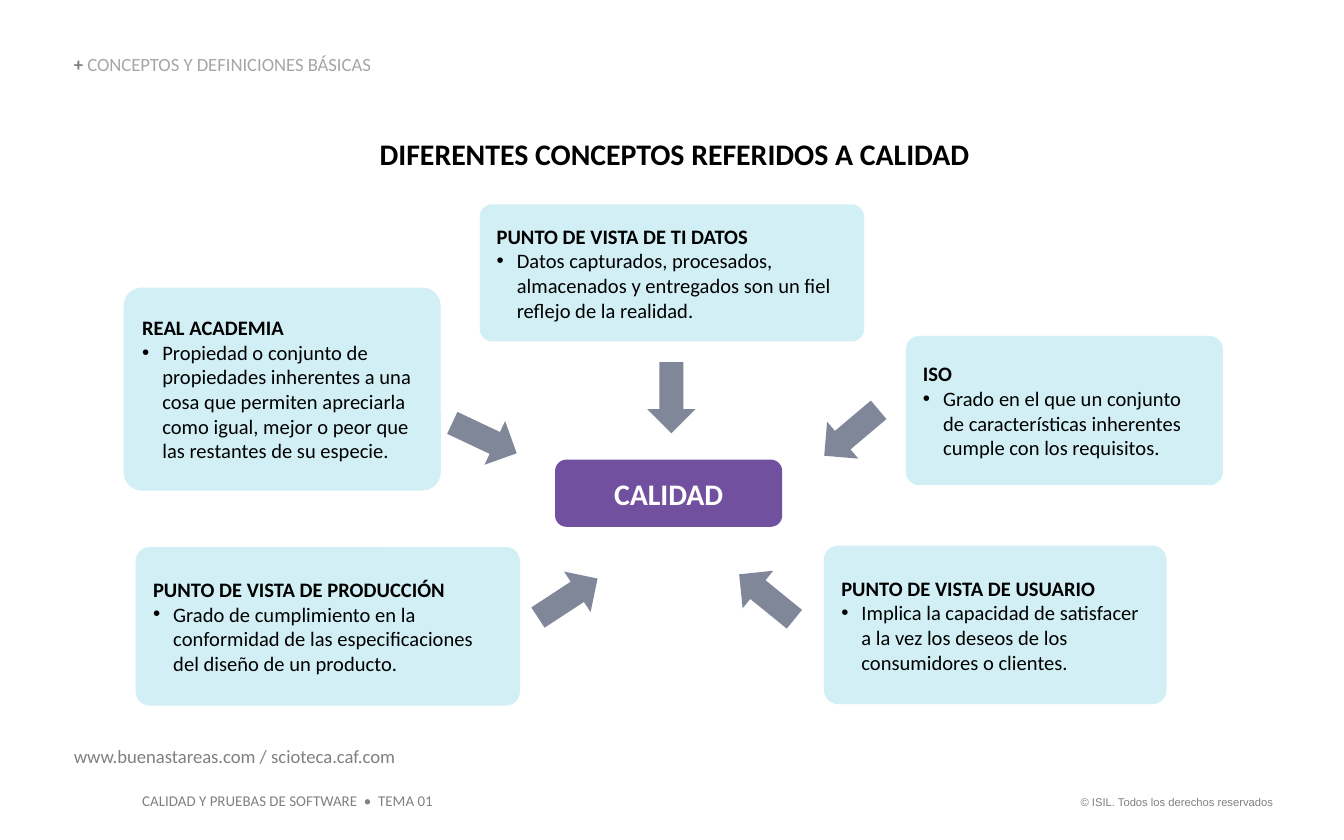
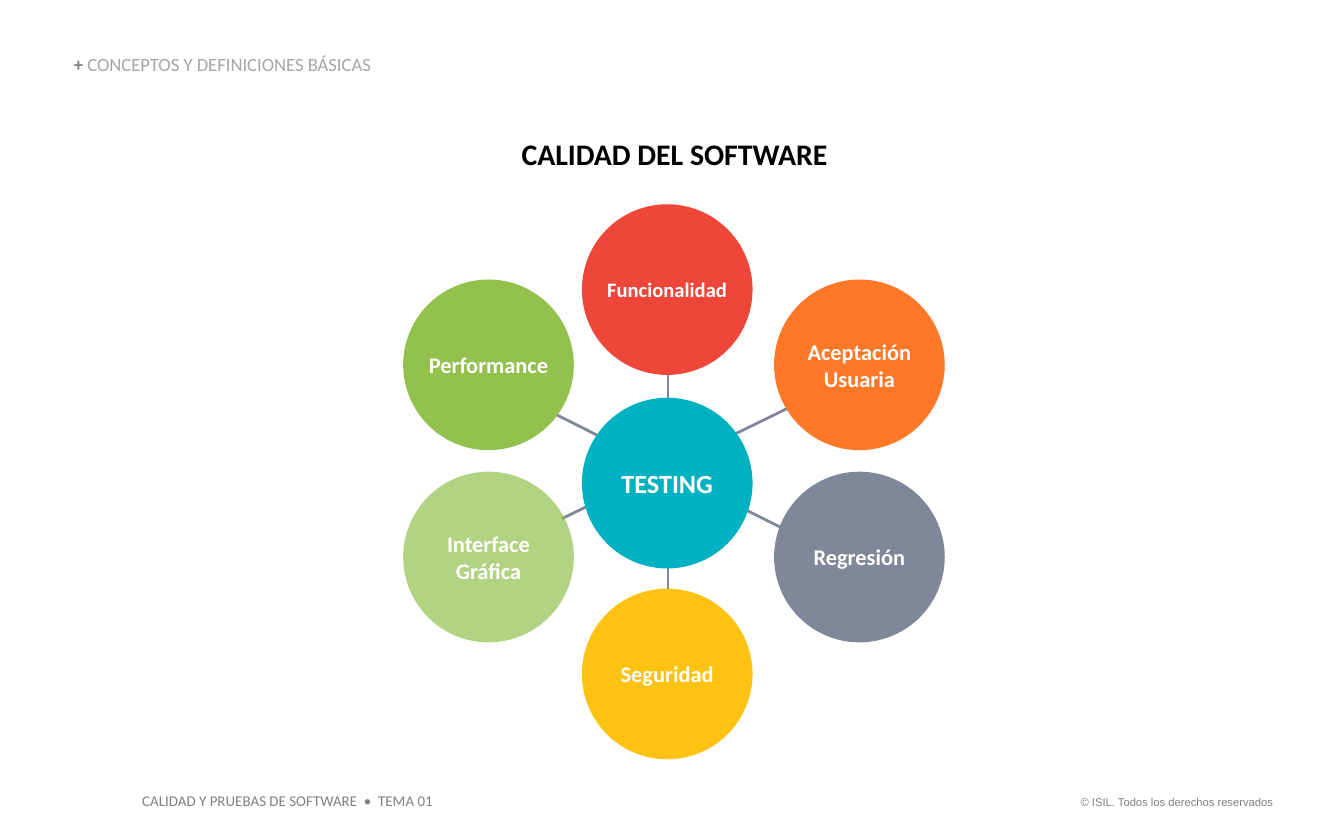
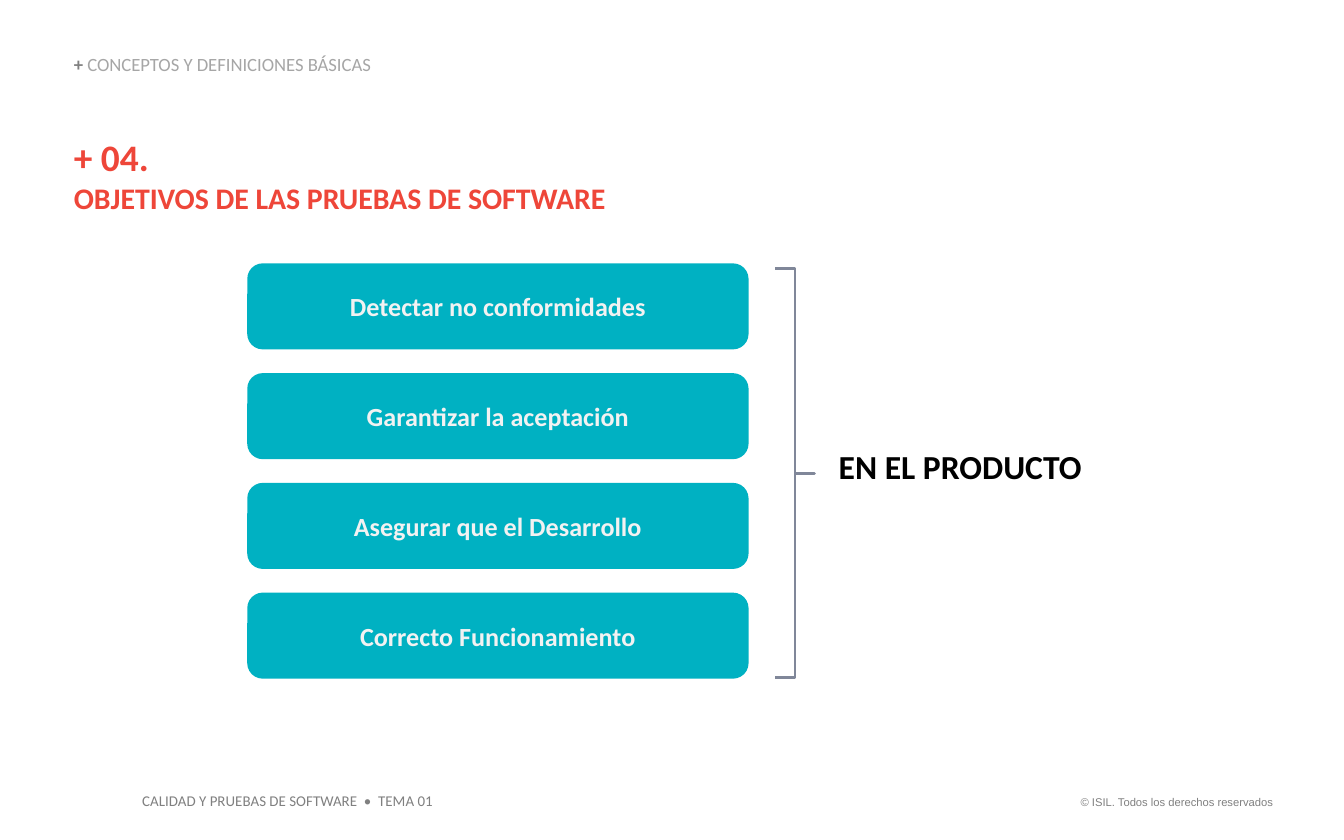
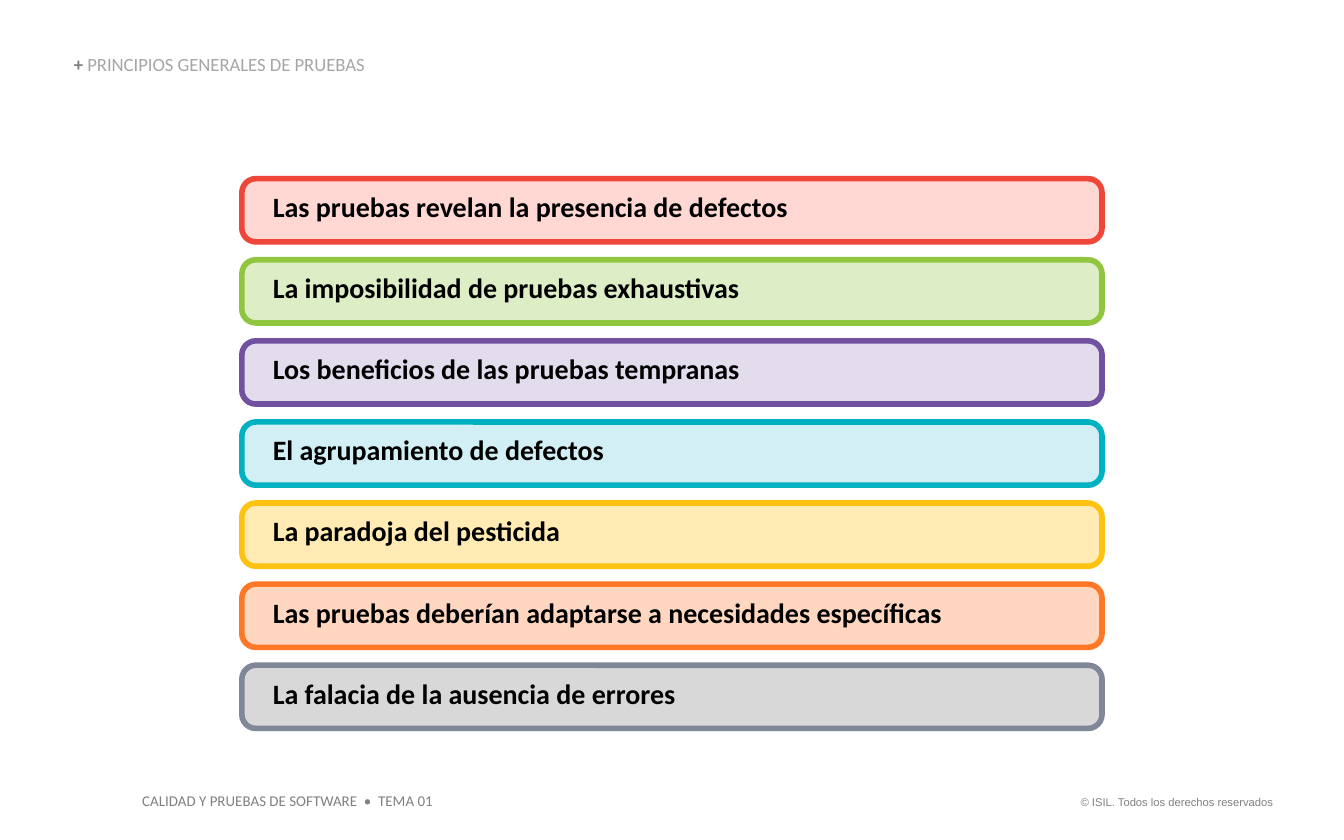
from dataclasses import dataclass

from lxml import etree
from pptx import Presentation
from pptx.dml.color import RGBColor
from pptx.enum.shapes import MSO_CONNECTOR, MSO_SHAPE
from pptx.enum.text import MSO_ANCHOR as Anchor
from pptx.enum.text import MSO_AUTO_SIZE as AutoSize
from pptx.enum.text import PP_ALIGN as Align
from pptx.oxml.ns import qn
from pptx.util import Inches, Pt

COLORS = {
    "black": "000000", "white": "FFFFFF", "off_white": "F2F2F2",
    "gray": "808080", "light_gray": "A6A6A6", "slate": "808799",
    "red": "EE4639", "green": "92C14E", "lime": "8FC53F", "purple": "7150A0",
    "teal": "00B1C2", "yellow": "FDC212", "amber": "FEC211", "orange": "FE7828",
    "pale_red": "FFD8D4", "pale_green": "DDEEC7", "pale_purple": "E3DCED",
    "pale_teal": "D1EFF4", "pale_yellow": "FFEBB3", "pale_orange": "FFD7C1",
    "pale_gray": "D8D8D8",
}
FONT = "Calibri"
NO_INSETS = (0, 0, 0, 0)
DEFAULT_INSETS = (0.1, 0.05, 0.1, 0.05)
BULLET_INDENT = Inches(0.15)
BASICS = "CONCEPTOS Y DEFINICIONES BÁSICAS"


@dataclass(frozen=True)
class Box:
    left: float
    top: float
    width: float
    height: float

    def lengths(self) -> list:
        return [Inches(v) for v in (self.left, self.top, self.width, self.height)]


@dataclass(frozen=True)
class TextStyle:
    size: float
    color: str = "black"
    bold: bool = True
    font: str = FONT


@dataclass(frozen=True)
class Concept:
    box: Box
    heading: str
    definition: str


@dataclass(frozen=True)
class Arrow:
    left: float
    top: float
    rotation: float


@dataclass(frozen=True)
class Circle:
    left: float
    top: float
    color: str
    lines: tuple
    size: float = 12
    opacity: int = 100


@dataclass(frozen=True)
class Principle:
    text: str
    fill: str
    outline: str


HEADING = TextStyle(16)
TITLE_BOX = Box(0.55, 1.01, 8.94, 0.27)

CONCEPTS = [
    Concept(Box(0.92, 2.14, 2.36, 1.51), "REAL ACADEMIA",
            "Propiedad o conjunto de propiedades inherentes a una cosa que permiten "
            "apreciarla como igual, mejor o peor que las restantes de su especie."),
    Concept(Box(1.01, 4.07, 2.86, 1.18), "PUNTO DE VISTA DE PRODUCCIÓN",
            "Grado de cumplimiento en la conformidad de las especificaciones "
            "del diseño de un producto."),
    Concept(Box(3.57, 1.52, 2.86, 1.02), "PUNTO DE VISTA DE TI DATOS",
            "Datos capturados, procesados, almacenados y entregados son un fiel "
            "reflejo de la realidad."),
    Concept(Box(6.74, 2.5, 2.36, 1.11), "ISO",
            "Grado en el que un conjunto de características inherentes cumple "
            "con los requisitos."),
    Concept(Box(6.13, 4.06, 2.55, 1.18), "PUNTO DE VISTA DE USUARIO",
            "Implica la capacidad de satisfacer a la vez los deseos de los "
            "consumidores o clientes."),
]
ARROWS = [
    Arrow(3.34, 3.08, 25.2), Arrow(3.96, 4.27, 326.8), Arrow(4.73, 2.78, 90),
    Arrow(6.07, 3.04, 139.8), Arrow(5.44, 4.26, 219.1),
]

DIAMETER = 1.27
CIRCLES = [
    Circle(4.33, 1.52, "red", ("Funcionalidad",), 11),
    Circle(4.33, 4.38, "yellow", ("Seguridad",)),
    Circle(5.76, 3.51, "slate", ("Regresión",)),
    Circle(3, 3.51, "green", ("Interface Gráfica",), opacity=70),
    Circle(5.76, 2.08, "orange", ("Aceptación", "Usuaria")),
    Circle(4.33, 2.96, "teal", ("TESTING",), 14),
    Circle(3, 2.08, "green", ("Performance",)),
]
SPOKES = [
    ((4.97, 2.79), (4.97, 3.11)), ((4.97, 4.17), (4.97, 4.49)),
    ((4.18, 3.86), (6.04, 2.95)), ((3.97, 3), (5.9, 3.97)),
]

GOALS = ["Detectar no conformidades", "Garantizar la aceptación",
         "Asegurar que el Desarrollo", "Correcto Funcionamiento"]

PRINCIPLES = [
    Principle("Las pruebas revelan la presencia de defectos", "pale_red", "red"),
    Principle("La imposibilidad de pruebas exhaustivas", "pale_green", "lime"),
    Principle("Los beneficios de las pruebas tempranas", "pale_purple", "purple"),
    Principle("El agrupamiento de defectos", "pale_teal", "teal"),
    Principle("La paradoja del pesticida", "pale_yellow", "amber"),
    Principle("Las pruebas deberían adaptarse a necesidades específicas",
              "pale_orange", "orange"),
    Principle("La falacia de la ausencia de errores", "pale_gray", "slate"),
]


# Helpers
def rgb(name: str) -> RGBColor:
    return RGBColor.from_string(COLORS[name])


def spread(first: float, last: float, count: int) -> list:
    """Evenly spaced positions from first to last."""
    return [first + i * (last - first) / (count - 1) for i in range(count)]


def add_run(paragraph, text: str, style: TextStyle) -> None:
    run = paragraph.add_run()
    run.text = text
    run.font.size = Pt(style.size)
    run.font.name = style.font
    run.font.bold = style.bold
    run.font.color.rgb = rgb(style.color)


def set_frame(frame, insets=DEFAULT_INSETS, anchor=Anchor.TOP, wrap=True) -> None:
    frame.word_wrap = wrap
    frame.vertical_anchor = anchor
    (frame.margin_left, frame.margin_top,
     frame.margin_right, frame.margin_bottom) = [Inches(v) for v in insets]


def add_text(slide, box: Box, runs: list, align=Align.LEFT, insets=NO_INSETS,
             anchor=Anchor.TOP, wrap=True):
    """Text box with one paragraph of (text, style) runs."""
    frame = slide.shapes.add_textbox(*box.lengths()).text_frame
    set_frame(frame, insets, anchor, wrap)
    frame.auto_size = AutoSize.SHAPE_TO_FIT_TEXT
    paragraph = frame.paragraphs[0]
    paragraph.alignment = align
    for text, style in runs:
        add_run(paragraph, text, style)
    return paragraph


def add_figure(slide, kind, box: Box, fill: str = "", outline: str = "",
               width: float = 1.5, adjustments=()):
    shape = slide.shapes.add_shape(kind, *box.lengths())
    shape.shadow.inherit = False
    for index, value in enumerate(adjustments):
        shape.adjustments[index] = value
    if fill:
        shape.fill.solid()
        shape.fill.fore_color.rgb = rgb(fill)
    else:
        shape.fill.background()
    if outline:
        shape.line.color.rgb = rgb(outline)
        shape.line.width = Pt(width)
    else:
        shape.line.fill.background()
    return shape


def label(shape, lines, style: TextStyle, insets=DEFAULT_INSETS,
          align=Align.CENTER, anchor=Anchor.MIDDLE) -> list:
    """Write one paragraph per line and return the paragraphs."""
    frame = shape.text_frame
    set_frame(frame, insets, anchor)
    for index, line in enumerate(lines):
        paragraph = frame.add_paragraph() if index else frame.paragraphs[0]
        paragraph.alignment = align
        add_run(paragraph, line, style)
    return list(frame.paragraphs)


def add_bullet(paragraph) -> None:
    properties = paragraph._p.get_or_add_pPr()
    properties.set("marL", str(BULLET_INDENT))
    properties.set("indent", str(-BULLET_INDENT))
    color = etree.SubElement(properties, qn("a:buClr"))
    etree.SubElement(color, qn("a:srgbClr"), val=COLORS["black"])
    etree.SubElement(properties, qn("a:buFont"), typeface="Arial")
    etree.SubElement(properties, qn("a:buChar"), char="•")


def set_opacity(shape, percent: int) -> None:
    color = shape._element.spPr.find(qn("a:solidFill")).find(qn("a:srgbClr"))
    etree.SubElement(color, qn("a:alpha"), val=str(percent * 1000))


def add_line(slide, start: tuple, end: tuple) -> None:
    points = [Inches(v) for v in (*start, *end)]
    line = slide.shapes.add_connector(MSO_CONNECTOR.STRAIGHT, *points)
    line.line.color.rgb = rgb("slate")
    line.line.width = Pt(1.5)
    etree.SubElement(line._element.spPr, qn("a:effectLst"))


# Shared parts
def new_slide(presentation, section: str):
    """Blank slide with footers and the section name."""
    slide = presentation.slides.add_slide(presentation.slide_layouts[6])
    add_text(slide, Box(7.88, 5.87, 1.69, 0.2),
             [("© ISIL. Todos los derechos reservados",
               TextStyle(6, "gray", False, "Arial"))],
             Align.RIGHT, DEFAULT_INSETS, wrap=False)
    add_text(slide, Box(0.96, 5.84, 2.37, 0.24),
             [("CALIDAD Y PRUEBAS DE SOFTWARE  •  TEMA 01",
               TextStyle(8, "gray", False))],
             insets=DEFAULT_INSETS, wrap=False)
    paragraph = add_text(slide, Box(0.55, 0.41, 3.61, 0.15),
                         [("+ ", TextStyle(10, "gray")),
                          (section, TextStyle(10, "light_gray", False))],
                         anchor=Anchor.BOTTOM)
    paragraph.line_spacing = 0.9
    return slide


def add_title(slide, text: str) -> None:
    add_text(slide, TITLE_BOX, [(text, HEADING)], Align.CENTER)


# Slides
def build_concepts(presentation) -> None:
    slide = new_slide(presentation, BASICS)
    add_title(slide, "DIFERENTES CONCEPTOS REFERIDOS A CALIDAD")
    center = add_figure(slide, MSO_SHAPE.ROUNDED_RECTANGLE,
                        Box(4.13, 3.42, 1.69, 0.5), "purple", adjustments=(0.17,))
    label(center, ["CALIDAD"], TextStyle(16, "white"))
    add_text(slide, Box(0.55, 5.54, 4.26, 0.17),
             [("www.buenastareas.com / scioteca.caf.com",
               TextStyle(10, "gray", False))])
    for concept, arrow in zip(CONCEPTS, ARROWS):
        card = add_figure(slide, MSO_SHAPE.ROUNDED_RECTANGLE, concept.box,
                          "pale_teal", adjustments=(0.09,))
        label(card, [concept.heading], TextStyle(11), align=Align.LEFT)
        definition = card.text_frame.add_paragraph()
        definition.alignment = Align.LEFT
        add_bullet(definition)
        add_run(definition, concept.definition, TextStyle(11, bold=False))
        pointer = add_figure(slide, MSO_SHAPE.RIGHT_ARROW,
                             Box(arrow.left, arrow.top, 0.53, 0.36), "slate")
        pointer.rotation = arrow.rotation


def build_testing(presentation) -> None:
    slide = new_slide(presentation, BASICS)
    add_title(slide, "CALIDAD DEL SOFTWARE")
    for start, end in SPOKES:
        add_line(slide, start, end)
    for circle in CIRCLES:
        shape = add_figure(slide, MSO_SHAPE.OVAL,
                           Box(circle.left, circle.top, DIAMETER, DIAMETER),
                           circle.color)
        if circle.opacity < 100:
            set_opacity(shape, circle.opacity)
        label(shape, circle.lines, TextStyle(circle.size, "white"), NO_INSETS)


def build_goals(presentation) -> None:
    slide = new_slide(presentation, BASICS)
    add_text(slide, Box(6.13, 3.32, 2.03, 0.3),
             [("EN EL PRODUCTO", TextStyle(18))], Align.CENTER)
    for goal, top in zip(GOALS, spread(1.96, 4.41, len(GOALS))):
        bar = add_figure(slide, MSO_SHAPE.ROUNDED_RECTANGLE,
                         Box(1.84, top, 3.73, 0.64), "teal", adjustments=(0.18,))
        label(bar, [goal], TextStyle(14, "off_white"))
    brace = add_figure(slide, MSO_SHAPE.LEFT_BRACE, Box(5.77, 2, 0.29, 3.04),
                       outline="slate", adjustments=(0, 0.5))
    brace.rotation = 180
    paragraph = add_text(slide, Box(0.55, 1, 8.94, 0.61),
                         [("+ 04.", TextStyle(20, "red"))])
    paragraph.space_after = Pt(6)
    paragraph.add_line_break()
    add_run(paragraph, "OBJETIVOS DE LAS PRUEBAS DE SOFTWARE", TextStyle(16, "red"))


def build_principles(presentation) -> None:
    slide = new_slide(presentation, "PRINCIPIOS GENERALES DE PRUEBAS")
    tops = spread(1.33, 4.95, len(PRINCIPLES))
    for principle, top in zip(PRINCIPLES, tops):
        bar = add_figure(slide, MSO_SHAPE.ROUNDED_RECTANGLE,
                         Box(1.8, top, 6.4, 0.47), principle.fill,
                         principle.outline, 3, (0.22,))
        paragraphs = label(bar, [principle.text], TextStyle(15),
                           (0.2, 0.08, 0.04, 0.05), Align.LEFT, Anchor.TOP)
        paragraphs[0].line_spacing = 0.9


def main() -> None:
    presentation = Presentation()
    presentation.slide_width = Inches(10)
    presentation.slide_height = Inches(6.25)
    build_concepts(presentation)
    build_testing(presentation)
    build_goals(presentation)
    build_principles(presentation)
    presentation.save("out.pptx")


if __name__ == "__main__":
    main()
